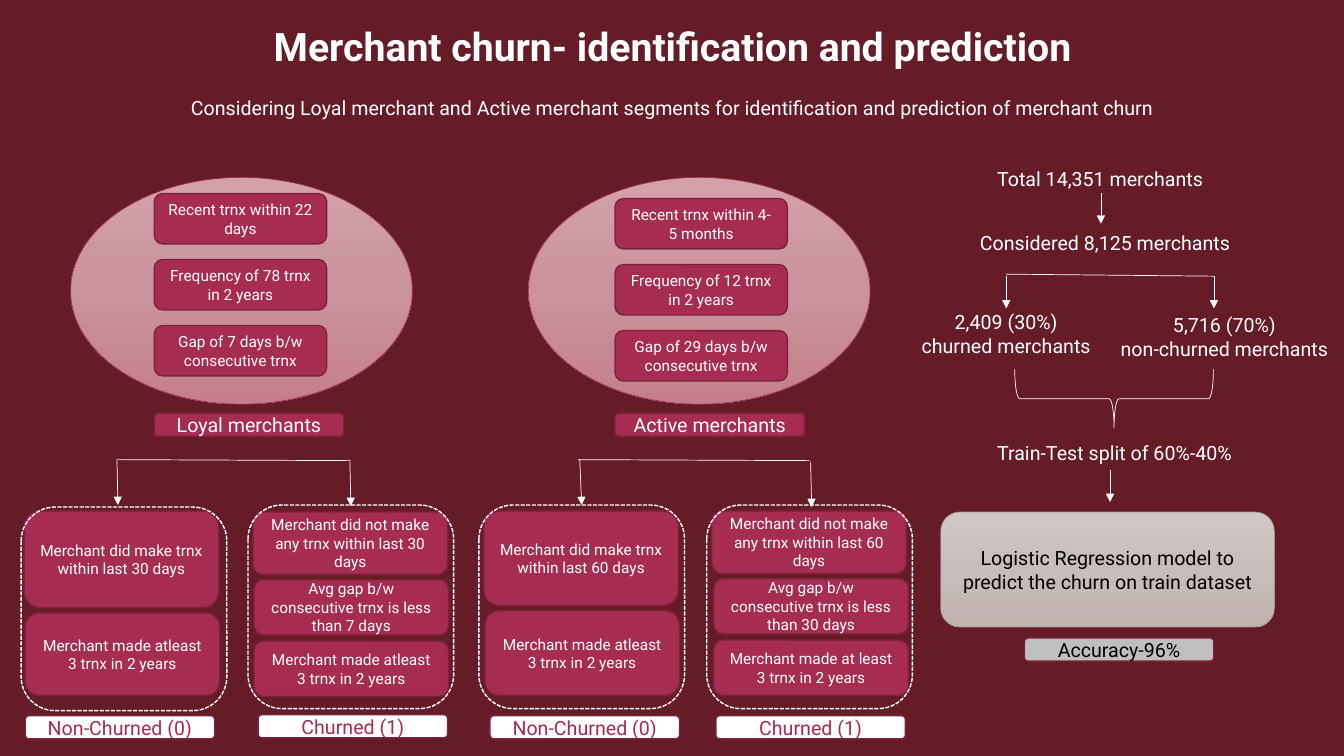
from copy import deepcopy

from pptx import Presentation
from pptx.dml.color import RGBColor
from pptx.enum.dml import MSO_LINE
from pptx.enum.shapes import MSO_CONNECTOR, MSO_SHAPE
from pptx.enum.text import MSO_ANCHOR, PP_ALIGN
from pptx.oxml.ns import qn
from pptx.util import Inches, Pt
from lxml.etree import SubElement

COLORS = {
    "wine": "651C27", "berry": "A62C52", "plum": "7B213D",
    "white": "FFFFFF", "black": "000000", "silver": "BFBFBF", "taupe": "A7928D",
}
FADES = {
    "rose": ("D4A0A9", "CA939D", "C57F8C"),
    "stone": ("D1C7C5", "C8BDBA", "C1B3B0"),
}
COLUMNS, ROWS = 133.3, 75
CARD_SIZE, CARD_STEP = (17.1, 5), 6.55
TAG_SIZE = (18.8, 2.3)
FRAME_SIZE = (20.4, 20.2)
RULE_WIDTH = 19.3

SEGMENTS = [
    {
        "label": "Loyal merchants", "oval": 7, "cards": (15.3, 19.2),
        "criteria": ["Recent trnx within 22 days", "Frequency of 78 trnx in 2 years",
                     "Gap of 7 days b/w consecutive trnx"],
        "branch": [(11.7, 45.6, 34.7, 45.7), (11.6, 45.5, 11.7, 50.1), (34.7, 45.6, 34.8, 50.2)],
        "outcomes": [
            ("Non-Churned (0)", (2.1, 50.3), (2.5, 71), [
                (2.4, 50.7, 9.6, "Merchant did make trnx within last 30 days"),
                (2.5, 60.8, 8.2, "Merchant made atleast 3 trnx in 2 years")]),
            ("Churned (1)", (24.6, 50.1), (25.6, 70.9), [
                (25.1, 50.8, 6.2, "Merchant did not make any trnx within last 30 days"),
                (25.2, 57.5, 5.5, "Avg gap b/w consecutive trnx is less than 7 days"),
                (25.2, 63.6, 5.5, "Merchant made atleast 3 trnx in 2 years")]),
        ],
    },
    {
        "label": "Active merchants", "oval": 52.4, "cards": (61, 19.7),
        "criteria": ["Recent trnx within 4-5 months", "Frequency of 12 trnx in 2 years",
                     "Gap of 29 days b/w consecutive trnx"],
        "branch": [(57.3, 45.6, 80.3, 45.7), (57.5, 45.6, 57.7, 50.1), (80.4, 45.8, 80.5, 50.3)],
        "outcomes": [
            ("Non-Churned (0)", (47.5, 50.1), (48.6, 71), [
                (48, 50.7, 9.4, "Merchant did make trnx within last 60 days"),
                (48.1, 60.6, 8.4, "Merchant made atleast 3 trnx in 2 years")]),
            ("Churned (1)", (70.1, 50.1), (71, 71), [
                (70.6, 50.7, 6.2, "Merchant did not make any trnx within last 60 days"),
                (70.8, 57.4, 5.5, "Avg gap b/w consecutive trnx is less than 30 days"),
                (70.8, 63.5, 5.5, "Merchant made at least 3 trnx in 2 years")]),
        ],
    },
]


class Board:
    def __init__(self, deck):
        self.width, self.height = deck.slide_width, deck.slide_height
        self.slide = deck.slides.add_slide(deck.slide_layouts[6])
        self.font = {"name": "Roboto", "size": Pt(14), "bold": False}

    def color(self, name):
        return RGBColor.from_string(COLORS[name])

    def x(self, columns):
        return round(self.width * columns / COLUMNS)

    def y(self, rows):
        return round(self.height * rows / ROWS)

    def place(self, left, top, width, height):
        return self.x(left), self.y(top), self.x(width), self.y(height)

    def backdrop(self, name):
        fill = self.slide.background.fill
        fill.solid()
        fill.fore_color.rgb = self.color(name)

    def put_words(self, shape, text, ink, align, anchor, **changes):
        frame = shape.text_frame
        frame.text = text
        for key, value in {"word_wrap": True, "vertical_anchor": anchor}.items():
            setattr(frame, key, value)
        for paragraph in frame.paragraphs:
            paragraph.alignment = align
            for key, value in {**self.font, **changes}.items():
                setattr(paragraph.font, key, value)
            paragraph.font.color.rgb = self.color(ink)

    def text(self, box, text, align=PP_ALIGN.CENTER, anchor=MSO_ANCHOR.TOP, **changes):
        holder = self.slide.shapes.add_textbox(*self.place(*box))
        self.put_words(holder, text, "white", align, anchor, **changes)

    def fade(self, shape, stops):
        shape.fill.gradient()
        shape.fill.gradient_angle = 270
        ramp = shape._element.spPr.find(".//" + qn("a:gsLst"))
        ramp.insert(1, deepcopy(ramp[0]))
        for stop, tint, position in zip(shape.fill.gradient_stops, stops, (0, 0.5, 1)):
            stop.color.rgb = RGBColor.from_string(tint)
            stop.position = position

    def shape(self, box, kind=MSO_SHAPE.ROUNDED_RECTANGLE, fill=None, edge="plum",
              weight=1, dash=None, text="", ink="white", rotation=0, **changes):
        shape = self.slide.shapes.add_shape(kind, *self.place(*box))
        shape.shadow.inherit = False
        shape.rotation = rotation
        if fill in FADES:
            self.fade(shape, FADES[fill])
        elif fill:
            shape.fill.solid()
            shape.fill.fore_color.rgb = self.color(fill)
        else:
            shape.fill.background()
        shape.line.color.rgb = self.color(edge)
        for key, value in {"width": Pt(weight), "dash_style": dash}.items():
            setattr(shape.line, key, value)
        if text:
            self.put_words(shape, text, ink, PP_ALIGN.CENTER, MSO_ANCHOR.MIDDLE, **changes)

    def card(self, box, text):
        self.shape(box, fill="berry", text=text, size=Pt(11))

    def tag(self, corner, text, fill="berry", ink="white"):
        self.shape((*corner, *TAG_SIZE), fill=fill, text=text, ink=ink)

    def line(self, x1, y1, x2, y2, arrow=True):
        line = self.slide.shapes.add_connector(
            MSO_CONNECTOR.STRAIGHT, self.x(x1), self.y(y1), self.x(x2), self.y(y2))
        line.line.color.rgb = self.color("white")
        line.line.width = Pt(0.5)
        properties = line._element.spPr
        if arrow:
            SubElement(properties.find(qn("a:ln")), qn("a:tailEnd"), type="triangle")
        SubElement(properties, qn("a:effectLst"))

    def segment(self, label, oval, cards, criteria, branch, outcomes):
        left, top = cards
        self.shape((oval, 17.6, 33.9, 22.5), MSO_SHAPE.OVAL, "rose", "berry", 0.5)
        self.tag((left, 41), label)
        for index, criterion in enumerate(criteria):
            self.card((left, top + index * CARD_STEP, *CARD_SIZE), criterion)
        for index, ends in enumerate(branch):
            self.line(*ends, arrow=index > 0)
        for outcome, frame, tag, rules in outcomes:
            for rule_left, rule_top, rule_height, rule in rules:
                self.card((rule_left, rule_top, RULE_WIDTH, rule_height), rule)
            self.shape((*frame, *FRAME_SIZE), edge="white", dash=MSO_LINE.SQUARE_DOT)
            self.tag(tag, outcome, "white", "berry")

    def model_flow(self):
        for box, step in [
            ((97.9, 16.1, 23.9, 3.4), "Total 14,351 merchants"),
            ((96.2, 22.4, 30.2, 3.4), "Considered 8,125 merchants"),
            ((97.9, 43.3, 30.2, 3.4), "Train-Test split of 60%-40%"),
        ]:
            self.text(box, step, PP_ALIGN.LEFT)
        self.text((90.1, 30.3, 19.4, 5.7), "2,409 (30%) churned merchants")
        self.text((109.6, 30.6, 23.7, 5.7), "5,716 (70%)\nnon-churned merchants")
        for column, start, end in [(109.2, 19.1, 22.2), (99.8, 27.4, 30.6),
                                   (120.4, 27.4, 30.6), (110.1, 46.6, 49.8)]:
            self.line(column, start, column, end)
        self.line(99.8, 27.2, 120.4, 27.4, arrow=False)
        self.shape((107.6, 29.7, 5.8, 19.7), MSO_SHAPE.LEFT_BRACE, edge="white",
                   weight=0.5, rotation=270)
        self.shape((93.3, 50.8, 33.1, 11.4), fill="stone", edge="taupe", weight=0.5, ink="black",
                   text="Logistic Regression model to predict the churn on train dataset")
        self.tag((101.6, 63.3), "Accuracy-96%", "silver", "black")


def main():
    deck = Presentation()
    deck.slide_width, deck.slide_height = Inches(13.33), Inches(7.5)
    board = Board(deck)
    board.backdrop("wine")
    board.text((9.2, -0.1, 115, 7.5), "Merchant churn- identification and prediction",
               anchor=MSO_ANCHOR.BOTTOM, size=Pt(28), bold=True)
    board.text((2.1, 9, 129.2, 3.4), "Considering Loyal merchant and Active merchant segments "
               "for identification and prediction of merchant churn")
    for segment in SEGMENTS:
        board.segment(**segment)
    board.model_flow()
    deck.save("out.pptx")


if __name__ == "__main__":
    main()
